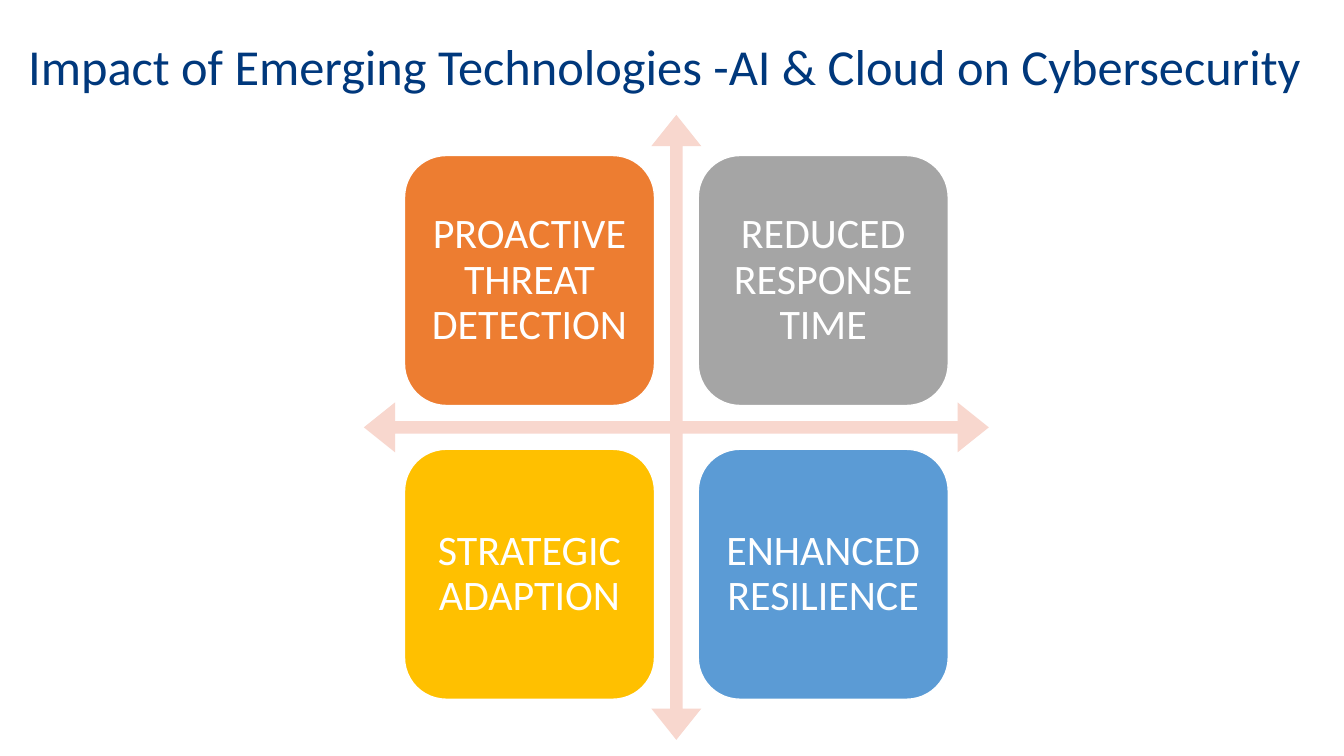
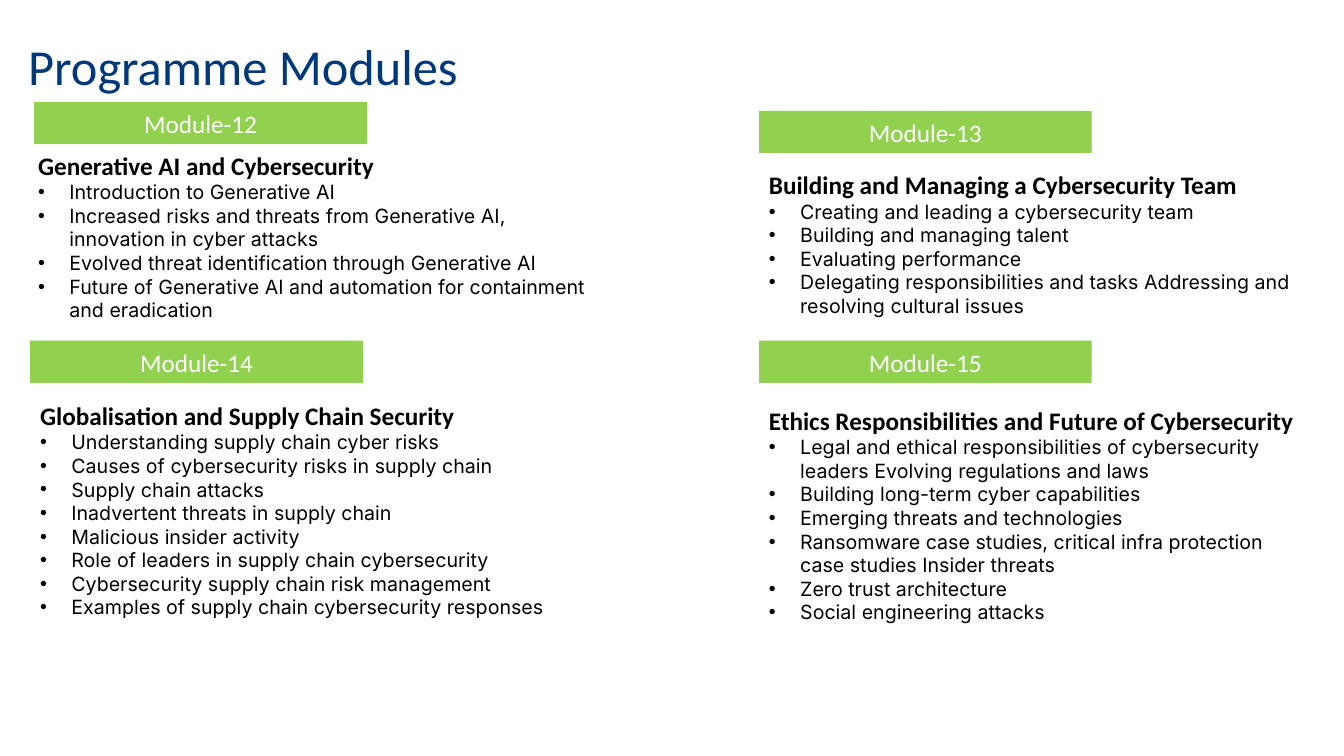
from dataclasses import dataclass

from lxml.etree import SubElement
from pptx import Presentation
from pptx.dml.color import RGBColor
from pptx.enum.shapes import MSO_SHAPE
from pptx.enum.text import MSO_ANCHOR, MSO_AUTO_SIZE, PP_ALIGN
from pptx.oxml.ns import qn
from pptx.presentation import Presentation as Deck
from pptx.shapes.autoshape import Shape
from pptx.slide import Slide
from pptx.text.text import TextFrame, _Paragraph
from pptx.util import Inches, Pt

SLIDE_WIDTH = Inches(13.333)
SLIDE_HEIGHT = Inches(7.5)
TITLE_ONLY = 5
HEADING_FONT = "Calibri"
TOPIC_FONT = "Inter"
COLORS = {
    "title": "00387C",
    "body": "000000",
    "white": "FFFFFF",
    "banner": "92D050",
    "arrows": "F8D7CE",
    "detection": "ED7D31",
    "response": "A5A5A5",
    "adaption": "FFC000",
    "resilience": "5B9BD5",
}


@dataclass(frozen=True)
class Frame:
    """Percentages of the slide's width and height."""

    left: float
    top: float
    width: float
    height: float

    def emu(self) -> tuple[int, int, int, int]:
        return (
            round(SLIDE_WIDTH * self.left / 100),
            round(SLIDE_HEIGHT * self.top / 100),
            round(SLIDE_WIDTH * self.width / 100),
            round(SLIDE_HEIGHT * self.height / 100),
        )


@dataclass(frozen=True)
class Impact:
    label: str
    color: str
    column: int
    row: int


@dataclass(frozen=True)
class Module:
    number: int
    banner_left: float
    banner_top: float
    outline: Frame
    heading: str
    topics: tuple[str, ...]


MATRIX_LEFT = Inches(3.61)
MATRIX_TOP = Inches(1.14)
MATRIX_SIDE = Inches(6.2)
TILE_SHARE = 0.4
TILE_OFFSETS = (0.065, 0.535)
ARROW_ADJUSTMENTS = (0.02, 0.04, 0.05)
BANNER_WIDTH = 24.75
BANNER_HEIGHT = 5.6
LEFT_COLUMN = 2.25
RIGHT_COLUMN = 56.48
LOWER_ROW = 45.07
OUTLINE_WIDTH = 41.4

IMPACTS = (
    Impact("PROACTIVE THREAT DETECTION", "detection", 0, 0),
    Impact("REDUCED RESPONSE TIME", "response", 1, 0),
    Impact("STRATEGIC ADAPTION", "adaption", 0, 1),
    Impact("ENHANCED RESILIENCE", "resilience", 1, 1),
)

MODULES = (
    Module(
        12, 2.55, 13.47, Frame(2.1, 19.2, 43.42, 27.33),
        "Generative AI and Cybersecurity",
        (
            "Introduction to Generative AI",
            "Increased risks and threats from Generative AI, innovation in cyber attacks",
            "Evolved threat identification through Generative AI",
            "Future of Generative AI and automation for containment and eradication",
        ),
    ),
    Module(
        13, RIGHT_COLUMN, 14.67, Frame(RIGHT_COLUMN, 21.73, OUTLINE_WIDTH, 21.07),
        "Building and Managing a Cybersecurity Team",
        (
            "Creating and leading a cybersecurity team",
            "Building and managing talent",
            "Evaluating performance",
            "Delegating responsibilities and tasks Addressing and resolving cultural issues",
        ),
    ),
    Module(
        14, LEFT_COLUMN, LOWER_ROW, Frame(LEFT_COLUMN, 52.27, OUTLINE_WIDTH, 33.6),
        "Globalisation and Supply Chain Security",
        (
            "Understanding supply chain cyber risks",
            "Causes of cybersecurity risks in supply chain",
            "Supply chain attacks",
            "Inadvertent threats in supply chain",
            "Malicious insider activity",
            "Role of leaders in supply chain cybersecurity",
            "Cybersecurity supply chain risk management",
            "Examples of supply chain cybersecurity responses",
        ),
    ),
    Module(
        15, RIGHT_COLUMN, LOWER_ROW, Frame(RIGHT_COLUMN, 52.93, OUTLINE_WIDTH, 30.53),
        "Ethics Responsibilities and Future of Cybersecurity",
        (
            "Legal and ethical responsibilities of cybersecurity leaders Evolving regulations and laws",
            "Building long-term cyber capabilities",
            "Emerging threats and technologies",
            "Ransomware case studies, critical infra protection case studies Insider threats",
            "Zero trust architecture",
            "Social engineering attacks",
        ),
    ),
)


def rgb(name: str) -> RGBColor:
    return RGBColor.from_string(COLORS[name])


def style_runs(
    paragraph: _Paragraph, size: int, color: str,
    font: str = HEADING_FONT, bold: bool = False,
) -> None:
    for run in paragraph.runs:
        run.font.size = Pt(size)
        run.font.name = font
        run.font.bold = bold
        run.font.color.rgb = rgb(color)


def add_titled_slide(deck: Deck, wording: str, width: float) -> Slide:
    slide = deck.slides.add_slide(deck.slide_layouts[TITLE_ONLY])
    title = slide.shapes.title
    title.left, title.top, title.width, title.height = Frame(1.35, 4, width, 9.47).emu()
    frame = title.text_frame
    frame.text = wording
    frame.word_wrap = False
    frame.auto_size = MSO_AUTO_SIZE.NONE
    frame.vertical_anchor = MSO_ANCHOR.TOP
    frame.paragraphs[0].alignment = PP_ALIGN.LEFT
    style_runs(frame.paragraphs[0], 36, "title")
    return slide


def add_block(
    slide: Slide, preset: MSO_SHAPE, box: tuple[int, int, int, int], color: str
) -> Shape:
    block = slide.shapes.add_shape(preset, *box)
    block.shadow.inherit = False
    block.fill.solid()
    block.fill.fore_color.rgb = rgb(color)
    block.line.fill.background()
    return block


def center_label(block: Shape, label: str, size: int) -> TextFrame:
    frame = block.text_frame
    frame.text = label
    frame.word_wrap = True
    frame.vertical_anchor = MSO_ANCHOR.MIDDLE
    frame.paragraphs[0].alignment = PP_ALIGN.CENTER
    style_runs(frame.paragraphs[0], size, "white")
    return frame


def add_impact_tile(slide: Slide, impact: Impact) -> None:
    side = round(MATRIX_SIDE * TILE_SHARE)
    left = MATRIX_LEFT + round(MATRIX_SIDE * TILE_OFFSETS[impact.column])
    top = MATRIX_TOP + round(MATRIX_SIDE * TILE_OFFSETS[impact.row])
    tile = add_block(slide, MSO_SHAPE.ROUNDED_RECTANGLE, (left, top, side, side), impact.color)
    tile.line.color.rgb = rgb("white")
    tile.line.width = Pt(1)
    frame = center_label(tile, impact.label, 30)
    frame.margin_left = frame.margin_right = Inches(0.12)
    frame.margin_top = frame.margin_bottom = Inches(0.12)
    frame.paragraphs[0].line_spacing = 0.9


def add_bullet(paragraph: _Paragraph) -> None:
    properties = paragraph._p.get_or_add_pPr()
    properties.set("marL", str(Inches(0.31)))
    properties.set("indent", str(-Inches(0.31)))
    SubElement(properties, qn("a:buFont"), typeface="Arial")
    SubElement(properties, qn("a:buChar"), char="•")


def add_module(slide: Slide, module: Module) -> None:
    place = Frame(module.banner_left, module.banner_top, BANNER_WIDTH, BANNER_HEIGHT)
    banner = add_block(slide, MSO_SHAPE.RECTANGLE, place.emu(), "banner")
    center_label(banner, f"Module-{module.number}", 18)

    outline = slide.shapes.add_textbox(*module.outline.emu()).text_frame
    outline.word_wrap = True
    outline.text = "\n".join((module.heading, *module.topics))
    heading, *topics = outline.paragraphs
    style_runs(heading, 18, "body", bold=True)
    for topic in topics:
        add_bullet(topic)
        style_runs(topic, 14, "body", TOPIC_FONT)


def build_impact_slide(deck: Deck) -> None:
    slide = add_titled_slide(
        deck, "Impact of Emerging Technologies -AI & Cloud on Cybersecurity", 98.05
    )
    matrix = (MATRIX_LEFT, MATRIX_TOP, MATRIX_SIDE, MATRIX_SIDE)
    arrows = add_block(slide, MSO_SHAPE.QUAD_ARROW, matrix, "arrows")
    for index, share in enumerate(ARROW_ADJUSTMENTS):
        arrows.adjustments[index] = share
    for impact in IMPACTS:
        add_impact_tile(slide, impact)


def build_modules_slide(deck: Deck) -> None:
    slide = add_titled_slide(deck, "Programme Modules", 33.75)
    for module in MODULES:
        add_module(slide, module)


def main() -> None:
    deck = Presentation()
    deck.slide_width = SLIDE_WIDTH
    deck.slide_height = SLIDE_HEIGHT
    build_impact_slide(deck)
    build_modules_slide(deck)
    deck.save("out.pptx")


if __name__ == "__main__":
    main()
